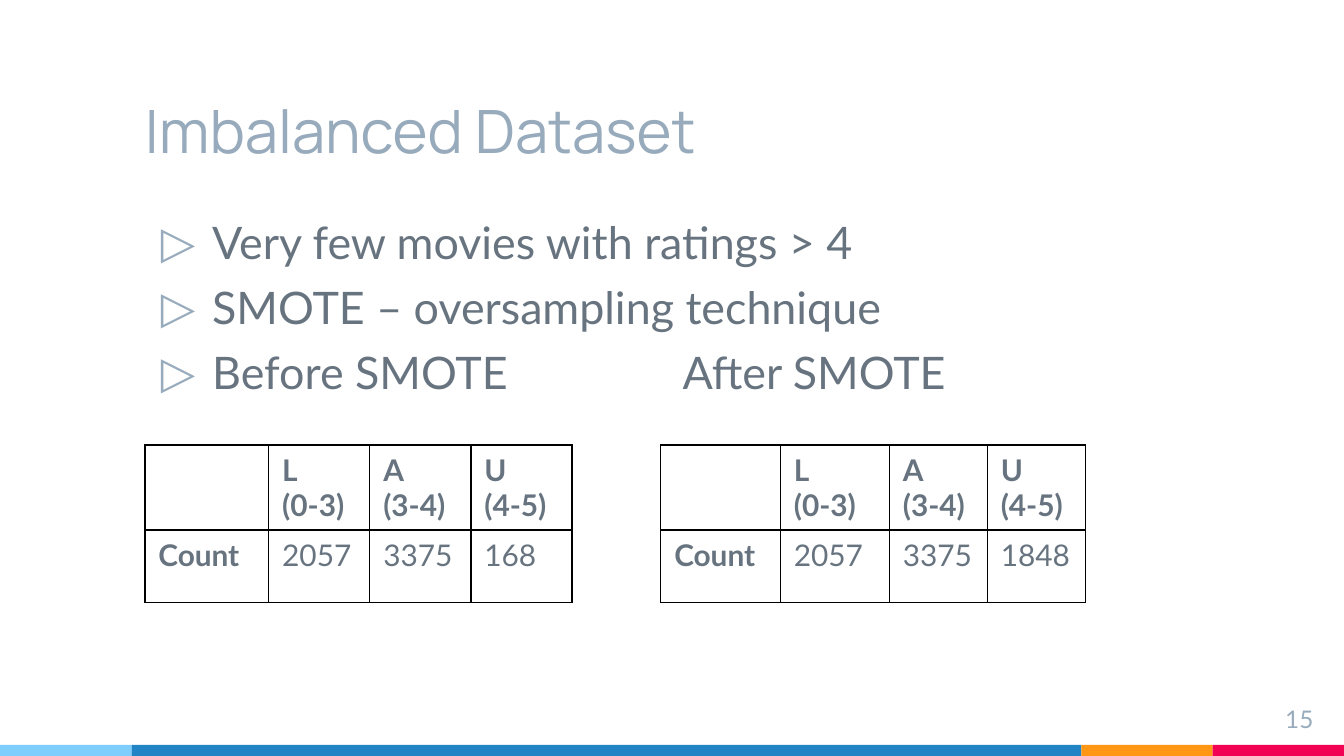
from lxml.etree import SubElement
from pptx import Presentation
from pptx.dml.color import RGBColor
from pptx.enum.shapes import MSO_SHAPE as Shape
from pptx.enum.text import MSO_ANCHOR as Anchor, MSO_AUTO_SIZE as AutoSize, PP_ALIGN as Align
from pptx.oxml.ns import qn
from pptx.util import Cm, Pt

MIST = RGBColor(0x97, 0xAB, 0xBC)
SLATE = RGBColor(0x67, 0x74, 0x80)
SKY = RGBColor(0x7E, 0xCE, 0xFD)
BLUE = RGBColor(0x21, 0x85, 0xC5)
ORANGE = RGBColor(0xFF, 0x97, 0x15)
RED = RGBColor(0xF2, 0x02, 0x53)
BLACK = RGBColor(0, 0, 0)

# Content
TITLE = "Imbalanced Dataset"
BULLETS = [
    "Very few movies with ratings > 4",
    "SMOTE – oversampling technique",
    "Before SMOTE\t\tAfter SMOTE",
]
PAGE_NUMBER = "15"
HEADER = ["", "L\n(0-3)", "A\n(3-4)", "U\n(4-5)"]
TABLES = [  # left, column widths, counts
    (2.74, [2.34, 1.91, 1.91, 1.91], ["Count", "2057", "3375", "168"]),
    (12.49, [2.26, 2.06, 1.85, 1.85], ["Count", "2057", "3375", "1848"]),
]
TABLE_TOP, ROW_HEIGHTS = 8.41, [1.61, 1.37]
STRIPES = [(2.49, SKY), (17.95, BLUE), (2.48, ORANGE), (2.48, RED)]
STRIPE_TOP, STRIPE_HEIGHT = 14.08, 0.21


def write(frame, text, size, color, font="Lato", bold=False, align=Align.LEFT, before=0):
    """Fill a text frame, one paragraph per line of text."""
    for index, line in enumerate(text.split("\n")):
        para = frame.add_paragraph() if index else frame.paragraphs[0]
        para.alignment, para.space_before = align, Pt(before)
        span = para.add_run()
        span.text = line
        span.font.name, span.font.size = font, Pt(size)
        span.font.bold, span.font.color.rgb = bold, color


def place(box, left, top, width, height, anchor=Anchor.TOP):
    """Position a text holder and give it even insets."""
    box.left, box.top, box.width, box.height = map(Cm, (left, top, width, height))
    frame = box.text_frame
    frame.word_wrap, frame.auto_size = True, AutoSize.NONE
    frame.vertical_anchor = anchor
    frame.margin_left = frame.margin_right = Cm(0.25)
    frame.margin_top = frame.margin_bottom = Cm(0.25)
    return frame


def add_bullet(para):
    """Hang a triangle bullet and set the default tab distance."""
    properties = para._p.get_or_add_pPr()
    for name, value in (("marL", Cm(1.27)), ("indent", Cm(-0.97)), ("defTabSz", Cm(2.54))):
        properties.set(name, str(value))
    color = SubElement(properties, qn("a:buClr"))
    SubElement(color, qn("a:srgbClr"), val=str(MIST))
    SubElement(properties, qn("a:buFont"), typeface="Lato")
    SubElement(properties, qn("a:buChar"), char="▷")


def add_borders(cell):
    """Draw a thin line on all four sides, ahead of the cell's fill."""
    properties = cell._tc.get_or_add_tcPr()
    for index, side in enumerate(("lnL", "lnR", "lnT", "lnB")):
        line = SubElement(properties, qn(f"a:{side}"), w=str(Pt(0.75)))
        fill = SubElement(line, qn("a:solidFill"))
        SubElement(fill, qn("a:srgbClr"), val=str(BLACK))
        properties.insert(index, line)


def add_counts(page, left, widths, counts):
    rows = [HEADER, counts]
    table = page.shapes.add_table(
        len(rows), len(widths), Cm(left), Cm(TABLE_TOP), Cm(sum(widths)), Cm(sum(ROW_HEIGHTS))
    ).table
    table.first_row = table.horz_banding = False
    for column, width in zip(table.columns, widths):
        column.width = Cm(width)
    for r, (row, height) in enumerate(zip(rows, ROW_HEIGHTS)):
        table.rows[r].height = Cm(height)
        for c, text in enumerate(row):
            cell = table.cell(r, c)
            cell.fill.background()
            add_borders(cell)
            if text:
                write(cell.text_frame, text, 16, SLATE, bold=r == 0 or c == 0)


def main():
    deck = Presentation()
    deck.slide_width, deck.slide_height = Cm(25.4), Cm(14.29)
    page = deck.slides.add_slide(deck.slide_layouts[1])

    # Bottom stripe
    left = 0
    for width, color in STRIPES:
        stripe = page.shapes.add_shape(
            Shape.RECTANGLE, Cm(left), Cm(STRIPE_TOP), Cm(width), Cm(STRIPE_HEIGHT)
        )
        stripe.shadow.inherit = False
        stripe.fill.solid()
        stripe.fill.fore_color.rgb = color
        stripe.line.fill.background()
        left += width

    # Title and list
    title = place(page.shapes.title, 2.49, 0.99, 17.95, 2.39, Anchor.BOTTOM)
    write(title, TITLE, 32, MIST, font="Manrope")
    body = place(page.placeholders[1], 2.49, 3.81, 17.95, 9.86)
    write(body, "\n".join(BULLETS), 24, SLATE, before=6)
    for para in body.paragraphs:
        add_bullet(para)

    # Page number
    number = page.shapes.add_textbox(0, 0, 0, 0)
    write(place(number, 23.55, 13.06, 1.52, 0.86), PAGE_NUMBER, 13, MIST, align=Align.RIGHT)

    # Counts before and after
    for left, widths, counts in TABLES:
        add_counts(page, left, widths, counts)

    deck.save("out.pptx")


if __name__ == "__main__":
    main()
